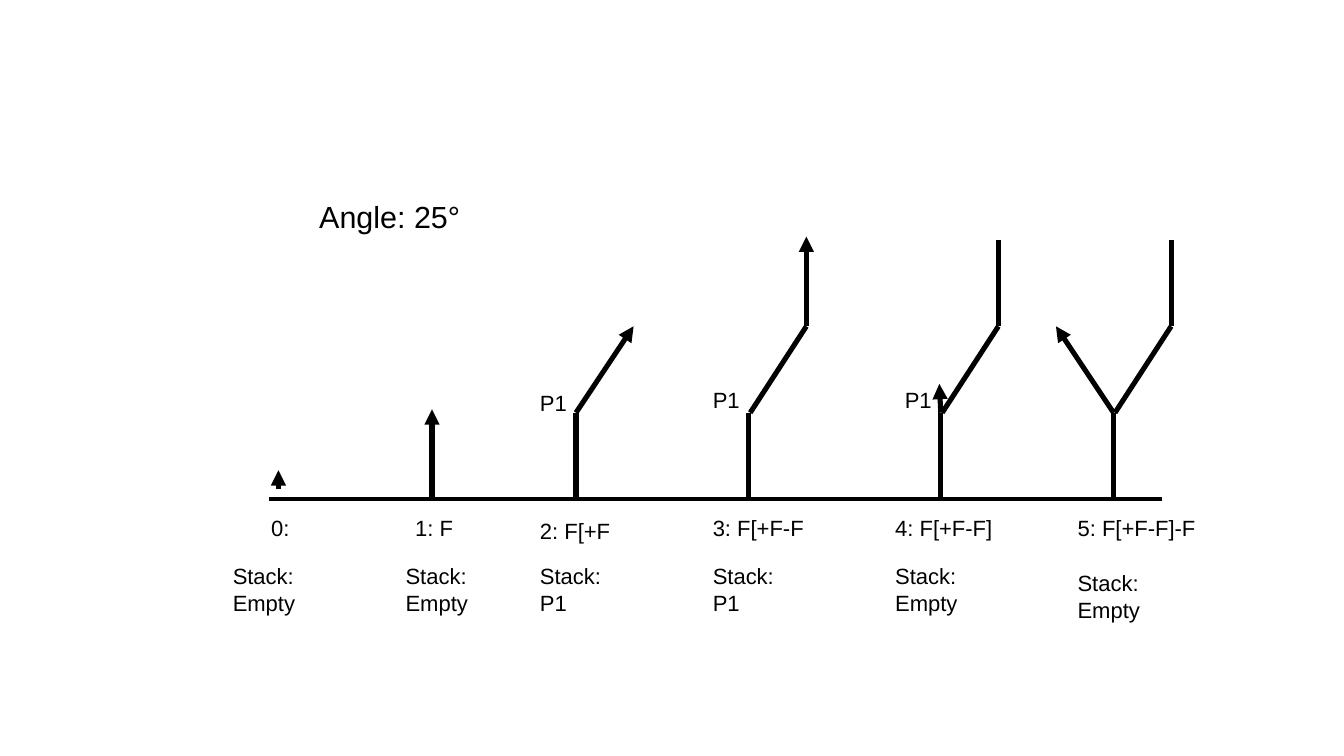
from dataclasses import dataclass

from lxml import etree
from pptx import Presentation
from pptx.dml.color import RGBColor
from pptx.enum.shapes import MSO_CONNECTOR
from pptx.enum.text import MSO_AUTO_SIZE
from pptx.oxml.ns import qn
from pptx.slide import Slide
from pptx.util import Inches, Pt

BLACK = RGBColor(0, 0, 0)
STRAIGHT = MSO_CONNECTOR.STRAIGHT
GROW = MSO_AUTO_SIZE.SHAPE_TO_FIT_TEXT

SLIDE_WIDTH = Inches(11.02)
SLIDE_HEIGHT = Inches(6.2)
UNIT = SLIDE_WIDTH / 28

GROUND = 10.4
STEP = 1.8
FORK = GROUND - STEP
BEND = FORK - STEP
TOP = BEND - STEP
LEAN = 1.2

Point = tuple[float, float]


@dataclass(frozen=True)
class Stroke:
    start: Point
    end: Point
    arrow: bool = False


@dataclass(frozen=True)
class Stage:
    stem: float
    formula: str
    formula_at: Point
    formula_size: Point
    stack: str
    stack_at: Point
    strokes: tuple[Stroke, ...]
    mark_at: Point | None = None


TRUNK = Stroke((0, FORK), (0, GROUND))
BRANCH = Stroke((LEAN, BEND), (0.03, FORK))
TIP = Stroke((LEAN, TOP), (LEAN, BEND))
SHORT = (1.6, 1.27)
LONG = (3.6, 0.76)

STAGES = (
    Stage(5.8, "0:", (5.4, 10.6), SHORT, "Empty", (4.6, 11.6),
          (Stroke((0, 10.2), (0, 9.8), True),)),
    Stage(9, "1: F", (8.4, 10.6), SHORT, "Empty", (8.2, 11.6),
          (Stroke((0, GROUND), (0, 8.53), True),)),
    Stage(12, "2: F[+F", (11, 10.65), LONG, "P1", (11, 11.6),
          (TRUNK, Stroke((0, FORK), (LEAN, BEND), True)), (11, 8)),
    Stage(15.6, "3: F[+F-F", (14.6, 10.6), LONG, "P1", (14.6, 11.6),
          (TRUNK, BRANCH, Stroke((LEAN, BEND), (LEAN, 4.93), True)), (14.6, 7.92)),
    Stage(19.6, "4: F[+F-F]", (18.4, 10.6), LONG, "Empty", (18.4, 11.6),
          (TRUNK, BRANCH, TIP, Stroke((0, FORK), (-0.03, 8), True)), (18.6, 7.92)),
    Stage(23.2, "5: F[+F-F]-F", (22.2, 10.6), LONG, "Empty", (22.2, 11.75),
          (TRUNK, BRANCH, TIP, Stroke((0, FORK), (-LEAN, BEND), True))),
)


def grid(value: float) -> int:
    return round(value * UNIT)


def add_text(page: Slide, text: str, *, at: Point, size: Point, points: float = 13) -> None:
    box = page.shapes.add_textbox(*map(grid, at + size))
    frame = box.text_frame
    frame.word_wrap = True
    frame.auto_size = GROW
    frame.text = text
    for para in frame.paragraphs:
        para.font.size = Pt(points)
        for span in para.runs:
            span.font.name = "Arial"
            span.font.size = Pt(points)
            span.font.color.rgb = BLACK


def add_stroke(page: Slide, stroke: Stroke, *, stem: float = 0, points: float = 3) -> None:
    (start_x, start_y), (end_x, end_y) = stroke.start, stroke.end
    line = page.shapes.add_connector(
        STRAIGHT, grid(stem + start_x), grid(start_y), grid(stem + end_x), grid(end_y))
    line.line.color.rgb = BLACK
    line.line.width = Pt(points)
    properties = line._element.spPr
    if stroke.arrow:
        etree.SubElement(properties.find(qn("a:ln")), qn("a:tailEnd"), type="triangle")
    etree.SubElement(properties, qn("a:effectLst"))


def add_stage(page: Slide, stage: Stage) -> None:
    for stroke in stage.strokes:
        add_stroke(page, stroke, stem=stage.stem)
    add_text(page, stage.formula, at=stage.formula_at, size=stage.formula_size)
    add_text(page, f"Stack:\n{stage.stack}", at=stage.stack_at, size=(2.4, 2.67))
    if stage.mark_at:
        add_text(page, "P1", at=stage.mark_at, size=SHORT)


def main() -> None:
    deck = Presentation()
    deck.slide_width = SLIDE_WIDTH
    deck.slide_height = SLIDE_HEIGHT
    page = deck.slides.add_slide(deck.slide_layouts[6])
    add_text(page, "Angle: 25°", at=(6.4, 4), size=(3.6, 0.97), points=18)
    add_stroke(page, Stroke((5.6, GROUND), (24.2, GROUND)), points=0)
    for stage in STAGES:
        add_stage(page, stage)
    deck.save("out.pptx")


if __name__ == "__main__":
    main()
